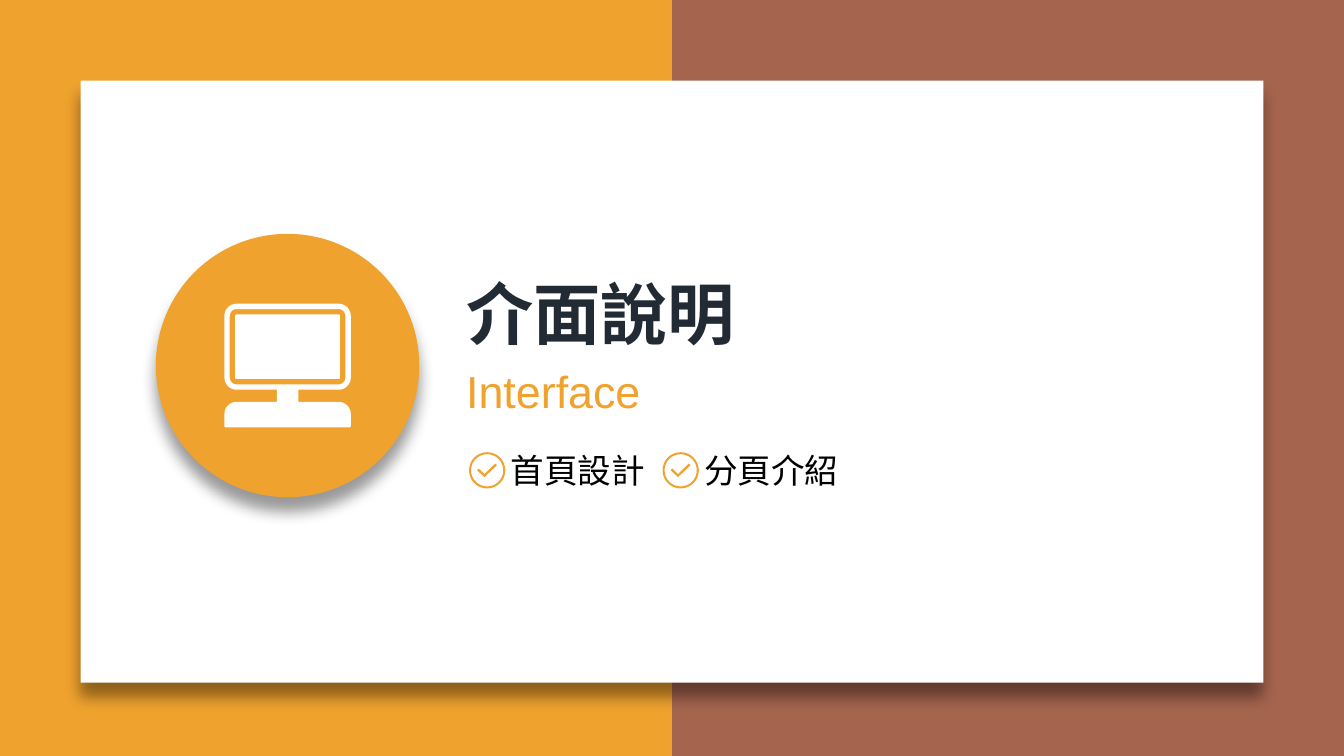
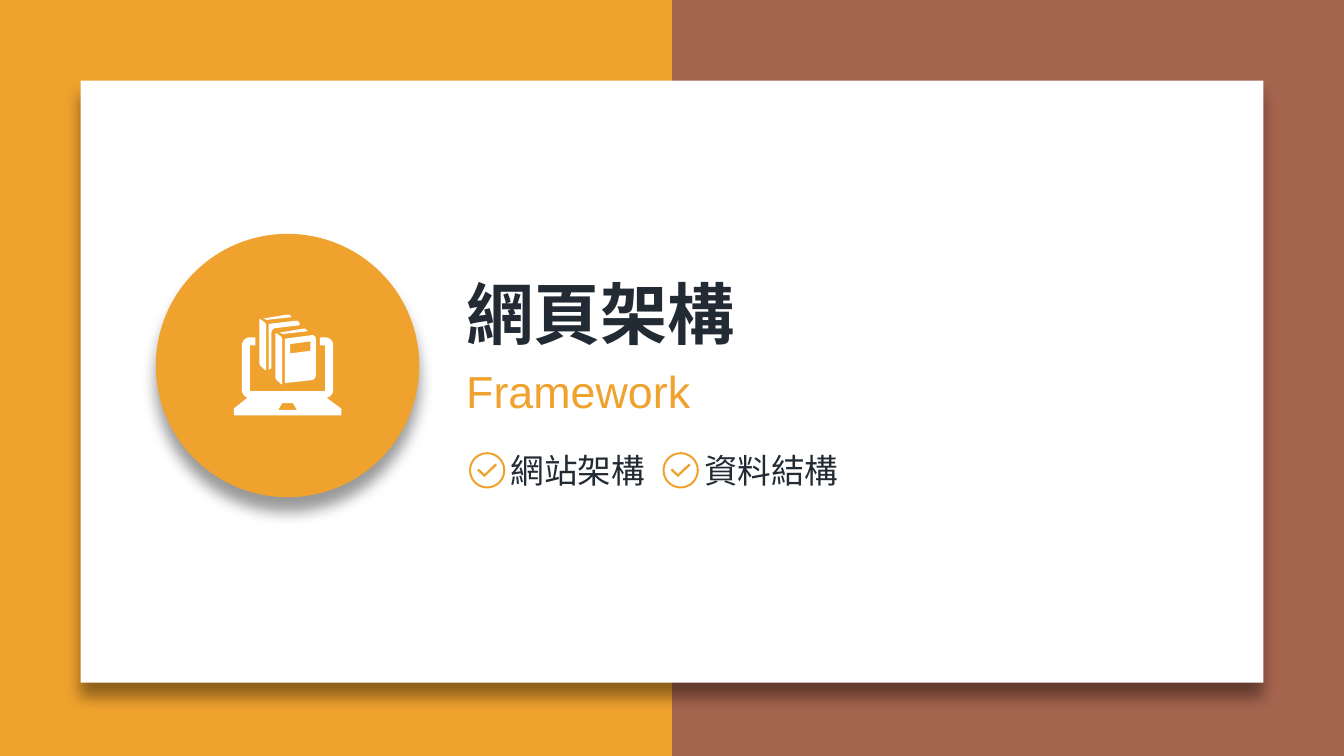
import math
from dataclasses import dataclass
from typing import NamedTuple

from lxml import etree
from pptx import Presentation
from pptx import util as u
from pptx.dml.color import RGBColor
from pptx.enum import shapes, text
from pptx.oxml import ns

COLUMNS, ROWS = 100, 56.25
UNIT = u.Inches(10) / COLUMNS

ORANGE = RGBColor(0xF0, 0xA2, 0x2E)
BROWN = RGBColor(0xA5, 0x64, 0x4E)
WHITE = RGBColor(0xFF, 0xFF, 0xFF)
INK = RGBColor(0x22, 0x2B, 0x34)
BLACK = RGBColor(0x00, 0x00, 0x00)

HAN_FONT = "Noto Sans CJK SC"
LATIN_FONT = "Arial"

CURVE_STEPS = 8
CURVE_PULL = 0.55
SHADOW_SIZE = u.Pt(8)
SHADOW_ALPHA = 40
ITEM_PITCH = 14.4


class Box(NamedTuple):
    column: float
    row: float
    columns: float
    rows: float


class Corner(NamedTuple):
    column: float
    row: float
    radius: float = 0


Outline = list[Corner]


@dataclass(frozen=True)
class Section:
    title: str
    subtitle: str
    subtitle_columns: float
    items: tuple[str, ...]
    item_color: RGBColor
    icon: list[Outline]


BAND = Box(0, 0, COLUMNS / 2, ROWS)
CARD = Box(6, 6, 88, 44.8)
DISC = Box(11.6, 17.4, 19.6, 19.6)
TITLE = Box(33.7, 19.8, 22.2, 7.1)


def grid(value: float) -> int:
    return round(value * UNIT)


def rounded(left: float, top: float, right: float, bottom: float, radius: float) -> Outline:
    return [
        Corner(left, top, radius),
        Corner(right, top, radius),
        Corner(right, bottom, radius),
        Corner(left, bottom, radius),
    ]


def ring(column: float, row: float, radius: float) -> Outline:
    return rounded(column - radius, row - radius, column + radius, row + radius, radius)


def polygon(*points: tuple[float, float]) -> Outline:
    return [Corner(*point) for point in points]


def toward(corner: Corner, neighbour: Corner) -> tuple[float, float]:
    dx, dy = neighbour.column - corner.column, neighbour.row - corner.row
    share = corner.radius / math.hypot(dx, dy)
    return corner.column + dx * share, corner.row + dy * share


def trace(outline: Outline) -> list[tuple[int, int]]:
    points = []
    for index, corner in enumerate(outline):
        if not corner.radius:
            points.append((grid(corner.column), grid(corner.row)))
            continue
        start = toward(corner, outline[index - 1])
        end = toward(corner, outline[(index + 1) % len(outline)])
        peak = (corner.column, corner.row)
        for step in range(CURVE_STEPS + 1):
            t = step / CURVE_STEPS
            x, y = (
                a * (1 - t) ** 3
                + 3 * (a + (p - a) * CURVE_PULL) * t * (1 - t) ** 2
                + 3 * (b + (p - b) * CURVE_PULL) * t**2 * (1 - t)
                + b * t**3
                for a, p, b in zip(start, peak, end)
            )
            points.append((grid(x), grid(y)))
    return points


def paint(shape, color: RGBColor) -> None:
    shape.fill.solid()
    shape.fill.fore_color.rgb = color
    shape.line.fill.background()
    shape.shadow.inherit = False


def add_shadow(shape) -> None:
    effects = shape.element.spPr.find(ns.qn("a:effectLst"))
    shadow = etree.SubElement(
        effects, ns.qn("a:outerShdw"),
        blurRad=str(SHADOW_SIZE), dist=str(SHADOW_SIZE),
        dir=str(90 * 60000), algn="t", rotWithShape="0",
    )
    color = etree.SubElement(shadow, ns.qn("a:srgbClr"), val=str(BLACK))
    etree.SubElement(color, ns.qn("a:alpha"), val=str(SHADOW_ALPHA * 1000))


def add_block(slide, box: Box, color: RGBColor, *, kind=shapes.MSO_SHAPE.RECTANGLE,
              shadow: bool = False):
    shape = slide.shapes.add_shape(kind, *map(grid, box))
    paint(shape, color)
    if shadow:
        add_shadow(shape)
    return shape


def add_outlines(container, outlines: list[Outline], color: RGBColor) -> None:
    first, *others = [trace(outline) for outline in outlines]
    builder = container.shapes.build_freeform(*first[0], scale=1.0)
    builder.add_line_segments(first[1:], close=True)
    for points in others:
        builder.move_to(*points[0])
        builder.add_line_segments(points[1:], close=True)
    paint(builder.convert_to_shape(), color)


def add_text(slide, words: str, box: Box, *, size: float, color: RGBColor,
             font: str = HAN_FONT, bold: bool = False) -> None:
    frame = slide.shapes.add_textbox(*map(grid, box)).text_frame
    frame.word_wrap = False
    frame.auto_size = text.MSO_AUTO_SIZE.SHAPE_TO_FIT_TEXT
    run = frame.paragraphs[0].add_run()
    run.text = words
    run.font.size = u.Pt(size)
    run.font.bold = bold
    run.font.color.rgb = color
    run.font.name = font
    etree.SubElement(run.font._element, ns.qn("a:ea"), typeface=font)


def add_item(slide, words: str, column: float, color: RGBColor) -> None:
    center, middle = column + 1.35, 35
    tick = polygon(
        *((center + dx, middle + dy) for dx, dy in (
            (-0.2, 0.5), (-0.75, 0), (-0.62, -0.13), (-0.2, 0.28), (0.6, -0.5), (0.74, -0.38)
        ))
    )
    group = slide.shapes.add_group_shape()
    add_outlines(group, [ring(center, middle, 1.35), ring(center, middle, 1.2)], ORANGE)
    add_outlines(group, [tick], ORANGE)
    add_text(slide, words, Box(column + 2.1, 33, 12.1, 4), size=18, color=color)


def computer_icon() -> list[Outline]:
    left, right, top, seam, desk, floor = 16.7, 26.1, 22.6, 29, 29.9, 31.8
    neck_left, neck_right = 20.6, 22.2
    body = [
        Corner(left, top, 0.9), Corner(right, top, 0.9), Corner(right, seam, 0.9),
        Corner(neck_right, seam), Corner(neck_right, desk),
        Corner(right, desk, 0.9), Corner(right, floor, 0.1),
        Corner(left, floor, 0.1), Corner(left, desk, 0.9),
        Corner(neck_left, desk), Corner(neck_left, seam), Corner(left, seam, 0.9),
    ]
    return [
        body,
        rounded(left + 0.4, top + 0.4, right - 0.4, seam - 0.4, 0.5),
        rounded(left + 0.8, top + 0.8, right - 0.8, seam - 0.8, 0.1),
    ]


def book_edge(column: float, row: float) -> list[Outline]:
    pages = polygon((0.3, 0), (0.55, 0.1), (2.4, -0.1), (2.25, -0.28), (2.1, -0.3))
    spine = [
        Corner(0, 0, 0.1), Corner(0.5, 0.35, 0.15),
        Corner(0.5, 3.9, 0.1), Corner(0, 3.45, 0.15),
    ]
    return [
        [Corner(column + c.column, row + c.row, c.radius) for c in outline]
        for outline in (pages, spine)
    ]


def library_icon() -> list[Outline]:
    base = [
        Corner(18.6, 25.7), Corner(19, 25.7), Corner(19, 25.1),
        Corner(18, 25.1, 0.6), Corner(18, 29.5, 0.5), Corner(18.4, 29.6),
        Corner(17.4, 30.4), Corner(17.4, 30.9), Corner(25.4, 30.9), Corner(25.4, 30.4),
        Corner(24.3, 29.6), Corner(24.8, 29.5, 0.5), Corner(24.8, 25.1, 0.6),
        Corner(23.8, 25.1), Corner(23.8, 25.7), Corner(24.2, 25.7),
        Corner(24.2, 29.1), Corner(18.6, 29.1),
    ]
    front_cover = [
        Corner(21.2, 25.2), Corner(23.5, 24.9, 0.3),
        Corner(23.5, 28.25, 0.3), Corner(21.2, 28.5),
    ]
    middle_cover = [
        Corner(20, 24.1), Corner(22.3, 23.83, 0.3), Corner(22.3, 24.2),
        Corner(20.2, 24.45, 0.3), Corner(20.2, 27.4), Corner(20, 27.5),
    ]
    return [
        base,
        polygon((21, 30), (21.8, 30), (22.1, 30.5), (20.7, 30.5)),
        *book_edge(19.3, 23.7),
        middle_cover,
        *book_edge(20.5, 24.75),
        front_cover,
        polygon((21.6, 25.6), (23.1, 25.4), (23.1, 26.1), (21.6, 26.3)),
    ]


SECTIONS = [
    Section("介面說明", "Interface", 15.1, ("首頁設計", "分頁介紹"), BLACK, computer_icon()),
    Section("網頁架構", "Framework", 18.9, ("網站架構", "資料結構"), INK, library_icon()),
]


def decorate_master(presentation, slide) -> None:
    master = presentation.slide_master
    master.background.fill.solid()
    master.background.fill.fore_color.rgb = BROWN
    band = add_block(slide, BAND, ORANGE)
    master.shapes.element.insert(2, band.element)


def draw_section(slide, section: Section) -> None:
    add_block(slide, CARD, WHITE, shadow=True)
    add_block(slide, DISC, ORANGE, kind=shapes.MSO_SHAPE.OVAL, shadow=True)
    add_text(slide, section.title, TITLE, size=36, color=INK, bold=True)
    add_text(slide, section.subtitle, Box(TITLE.column, 26.6, section.subtitle_columns, 5),
             size=24, color=ORANGE, font=LATIN_FONT)
    for index, words in enumerate(section.items):
        add_item(slide, words, 34.9 + index * ITEM_PITCH, section.item_color)
    add_outlines(slide, section.icon, WHITE)


def main() -> None:
    presentation = Presentation()
    presentation.slide_width = grid(COLUMNS)
    presentation.slide_height = grid(ROWS)
    for index, section in enumerate(SECTIONS):
        slide = presentation.slides.add_slide(presentation.slide_layouts[6])
        if index == 0:
            decorate_master(presentation, slide)
        draw_section(slide, section)
    presentation.save("out.pptx")


if __name__ == "__main__":
    main()
